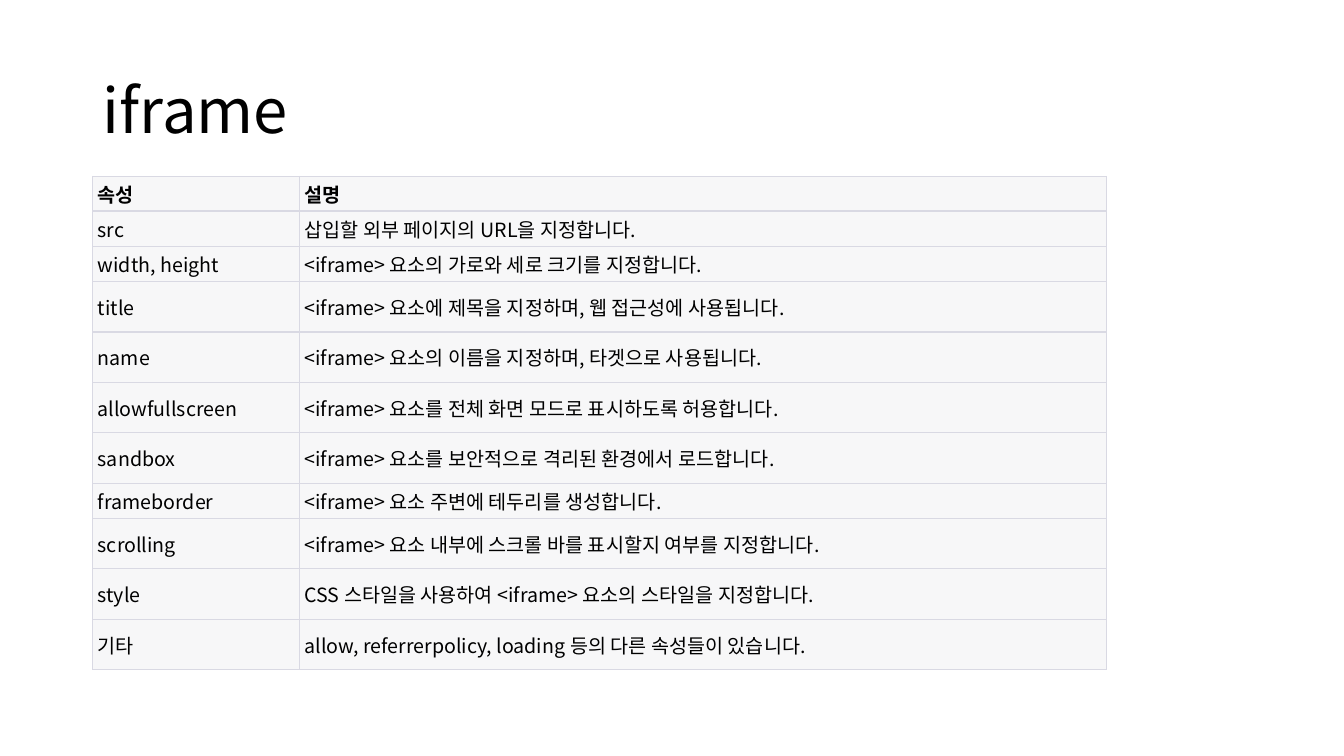
import pptx
import pptx.dml.color
import pptx.enum.text
import pptx.oxml.ns
import pptx.util
from lxml import etree
from pptx.util import Inches

FONT = "Noto Sans CJK KR"
BLACK = pptx.dml.color.RGBColor(0x00, 0x00, 0x00)
CELL_GRAY = pptx.dml.color.RGBColor(0xF7, 0xF7, 0xF8)
BORDER = pptx.dml.color.RGBColor(0xD9, 0xD9, 0xE3)

ATTRIBUTES = [
    # attribute, description, row height
    ("속성", "설명", 0.2),
    ("src", "삽입할 외부 페이지의 URL을 지정합니다.", 0.35),
    ("width, height", "<iframe> 요소의 가로와 세로 크기를 지정합니다.", 0.35),
    ("title", "<iframe> 요소에 제목을 지정하며, 웹 접근성에 사용됩니다.", 0.5),
    ("name", "<iframe> 요소의 이름을 지정하며, 타겟으로 사용됩니다.", 0.5),
    ("allowfullscreen", "<iframe> 요소를 전체 화면 모드로 표시하도록 허용합니다.", 0.5),
    ("sandbox", "<iframe> 요소를 보안적으로 격리된 환경에서 로드합니다.", 0.5),
    ("frameborder", "<iframe> 요소 주변에 테두리를 생성합니다.", 0.35),
    ("scrolling", "<iframe> 요소 내부에 스크롤 바를 표시할지 여부를 지정합니다.", 0.5),
    ("style", "CSS 스타일을 사용하여 <iframe> 요소의 스타일을 지정합니다.", 0.5),
    ("기타", "allow, referrerpolicy, loading 등의 다른 속성들이 있습니다.", 0.5),
]


def format_text(paragraph, size, bold=False):
    for run in paragraph.runs:
        run.font.name = FONT
        run.font.size = pptx.util.Pt(size)
        run.font.bold = bold
        run.font.color.rgb = BLACK
        # Korean text takes its typeface from the East Asian font
        east_asian = etree.Element(pptx.oxml.ns.qn("a:ea"), typeface=FONT)
        run.font._element.find(pptx.oxml.ns.qn("a:latin")).addnext(east_asian)


def add_border(cell, side, width):
    properties = cell._tc.get_or_add_tcPr()
    line = etree.SubElement(properties, pptx.oxml.ns.qn(f"a:ln{side}"),
                            w=str(pptx.util.Pt(width)))
    fill = etree.SubElement(line, pptx.oxml.ns.qn("a:solidFill"))
    etree.SubElement(fill, pptx.oxml.ns.qn("a:srgbClr"), val=str(BORDER))


presentation = pptx.Presentation()
presentation.slide_width = Inches(13.33)
presentation.slide_height = Inches(7.5)
slide = presentation.slides.add_slide(presentation.slide_layouts[5])

# Title
title = slide.shapes.title
title.left, title.top = Inches(0.92), Inches(0.4)
title.width, title.height = Inches(11.5), Inches(1.45)
title.text_frame.text = "iframe"
title.text_frame.auto_size = pptx.enum.text.MSO_AUTO_SIZE.NONE
title.text_frame.vertical_anchor = pptx.enum.text.MSO_ANCHOR.MIDDLE
heading = title.text_frame.paragraphs[0]
heading.alignment = pptx.enum.text.PP_ALIGN.LEFT
heading.line_spacing = 0.9
format_text(heading, 44)

# Attribute table
table_height = sum(height for _, _, height in ATTRIBUTES)
attribute_table = slide.shapes.add_table(
    len(ATTRIBUTES), 2, Inches(0.92), Inches(1.75),
    Inches(10.05), Inches(table_height)).table
attribute_table.first_row = False
attribute_table.horz_banding = False
attribute_table.columns[0].width = Inches(2.05)
attribute_table.columns[1].width = Inches(8)

last_row = len(ATTRIBUTES) - 1
for row, (attribute, description, height) in enumerate(ATTRIBUTES):
    attribute_table.rows[row].height = Inches(height)
    is_header = row == 0
    for column, text in enumerate((attribute, description)):
        cell = attribute_table.cell(row, column)
        cell.text_frame.text = text
        format_text(cell.text_frame.paragraphs[0], 14, bold=is_header)
        cell.margin_left = cell.margin_right = Inches(0.05)
        cell.margin_top = cell.margin_bottom = Inches(0.03)
        cell.vertical_anchor = (pptx.enum.text.MSO_ANCHOR.BOTTOM if is_header
                                else pptx.enum.text.MSO_ANCHOR.MIDDLE)
        # Inner horizontal rules are slightly heavier than the outline
        add_border(cell, "L", 0.75)
        add_border(cell, "R", 0.75)
        add_border(cell, "T", 0.75 if is_header else 1)
        add_border(cell, "B", 0.75 if row == last_row else 1)
        cell.fill.solid()
        cell.fill.fore_color.rgb = CELL_GRAY

presentation.save("out.pptx")
